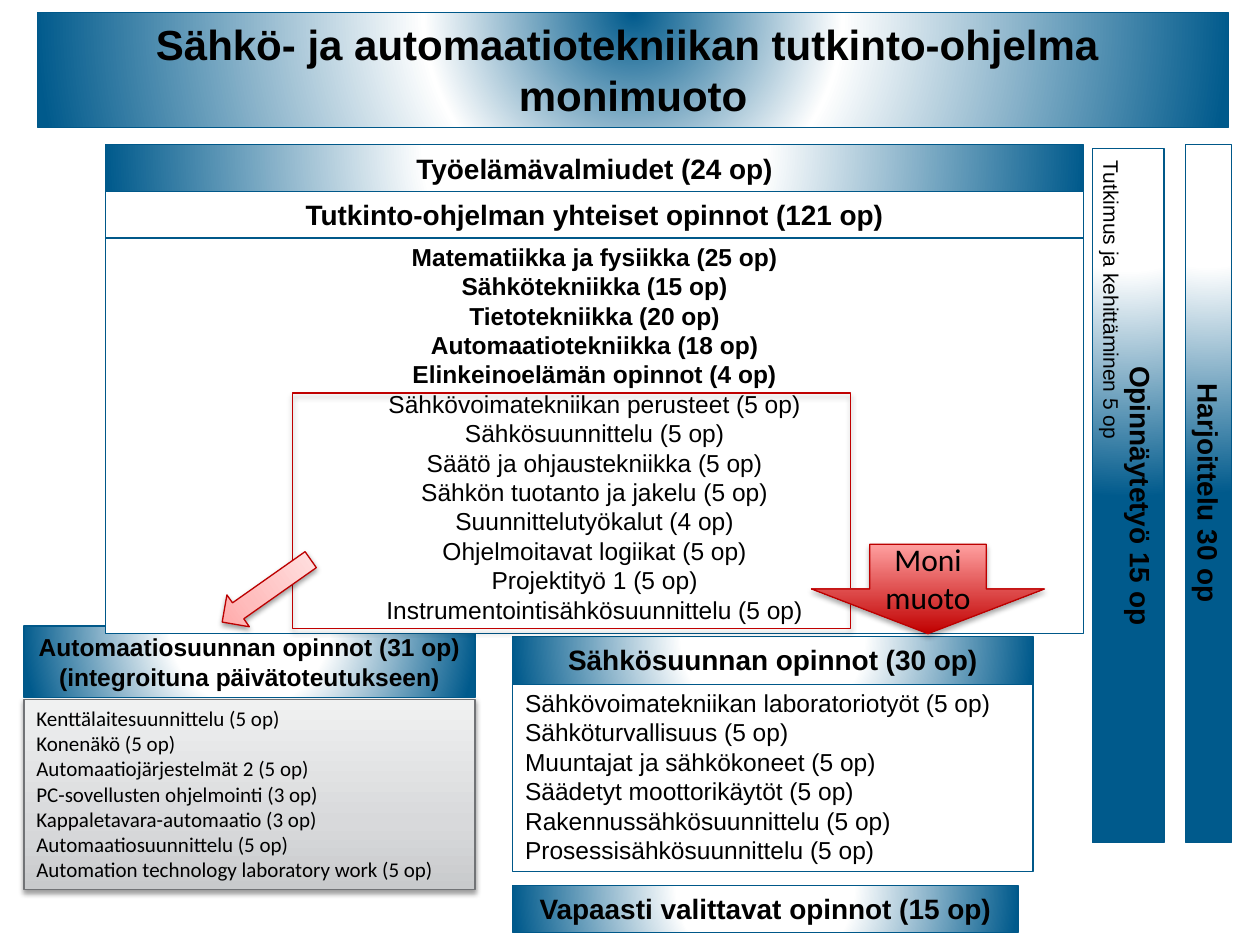
import pptx
import pptx.dml.color
import pptx.enum.shapes
import pptx.enum.text
import pptx.oxml
import pptx.oxml.ns
import pptx.util

Pt = pptx.util.Pt
SHAPE = pptx.enum.shapes.MSO_SHAPE
ALIGN = pptx.enum.text.PP_ALIGN
ANCHOR = pptx.enum.text.MSO_ANCHOR
qn = pptx.oxml.ns.qn
NS = 'xmlns:a="http://schemas.openxmlformats.org/drawingml/2006/main"'

BLACK, WHITE, BLUE, EDGE = "000000", "FFFFFF", "005A8C", "005889"
RED, ARROW_EDGE = "C00000", "BC0000"
GLOW = '<a:path {} path="circle"><a:fillToRect l="50000" t="-80000" r="50000" b="180000"/></a:path>'.format(NS)
UPWARD = '<a:lin {} ang="16200000" scaled="1"/>'.format(NS)
HEADER_STOPS = [(0, WHITE), (35, WHITE), (100, BLUE)]
TITLE_STOPS = [(0, BLUE), (35, WHITE), (100, BLUE)]

COMMON_BOLD = [
    "Matematiikka ja fysiikka (25 op)", "Sähkötekniikka (15 op)",
    "Tietotekniikka (20 op)", "Automaatiotekniikka (18 op)",
    "Elinkeinoelämän opinnot (4 op)",
]
COMMON_PLAIN = [
    "Sähkövoimatekniikan perusteet (5 op)", "Sähkösuunnittelu (5 op)",
    "Säätö ja ohjaustekniikka (5 op)", "Sähkön tuotanto ja jakelu (5 op)",
    "Suunnittelutyökalut (4 op)", "Ohjelmoitavat logiikat (5 op)",
    "Projektityö 1 (5 op)", "Instrumentointisähkösuunnittelu (5 op)",
]
AUTOMATION = [
    "Kenttälaitesuunnittelu (5 op)", "Konenäkö (5 op)",
    "Automaatiojärjestelmät 2 (5 op)", "PC-sovellusten ohjelmointi (3 op)",
    "Kappaletavara-automaatio (3 op)", "Automaatiosuunnittelu (5 op)",
    "Automation technology laboratory work (5 op)",
]
ELECTRICAL = [
    "Sähkövoimatekniikan laboratoriotyöt (5 op)", "Sähköturvallisuus (5 op)",
    "Muuntajat ja sähkökoneet (5 op)", "Säädetyt moottorikäytöt (5 op)",
    "Rakennussähkösuunnittelu (5 op) Prosessisähkösuunnittelu (5 op)",
]


def color(hex_code):
    return pptx.dml.color.RGBColor.from_string(hex_code)


def set_gradient(shape, stops, direction):
    shape.fill.gradient()
    gradient = shape.element.spPr.find(qn("a:gradFill"))
    for child in list(gradient):
        gradient.remove(child)
    marks = "".join(
        f'<a:gs pos="{pos * 1000}"><a:srgbClr val="{code}"/></a:gs>' for pos, code in stops)
    gradient.append(pptx.oxml.parse_xml(f"<a:gsLst {NS}>{marks}</a:gsLst>"))
    gradient.append(pptx.oxml.parse_xml(direction))


def set_shadow(shape, distance, opacity):
    effects = shape.element.spPr.find(qn("a:effectLst"))
    effects.append(pptx.oxml.parse_xml(
        f'<a:outerShdw {NS} blurRad="{Pt(3.1)}" dist="{Pt(distance)}" dir="5400000" rotWithShape="0">'
        f'<a:srgbClr val="{BLACK}"><a:alpha val="{opacity * 1000}"/></a:srgbClr></a:outerShdw>'))


def add_panel(slide, box, line, fill=None, stops=None, direction=GLOW, kind=SHAPE.RECTANGLE):
    panel = slide.shapes.add_shape(kind, *map(Pt, box))
    if stops:
        set_gradient(panel, stops, direction)
    elif fill:
        panel.fill.solid()
        panel.fill.fore_color.rgb = color(fill)
    else:
        panel.fill.background()
    panel.line.color.rgb = color(line)
    panel.line.width = Pt(0.75)
    panel.shadow.inherit = False
    panel.text_frame.word_wrap = True
    panel.text_frame.vertical_anchor = ANCHOR.TOP
    return panel


def write(panel, lines, size, bold=False, align=ALIGN.CENTER, font="Arial"):
    """Add paragraphs after any that the panel already holds."""
    frame = panel.text_frame
    for text in lines:
        paragraph = frame.add_paragraph() if frame.text else frame.paragraphs[0]
        paragraph.alignment = align
        run = paragraph.add_run()
        run.text = text
        run.font.size = Pt(size)
        run.font.bold = bold
        run.font.name = font
        run.font.color.rgb = color(BLACK)


def add_header(slide, box, lines, size=16, stops=HEADER_STOPS):
    header = add_panel(slide, box, EDGE, stops=stops)
    write(header, lines, size, bold=True)


def add_electrical(slide, box):
    left, top, width, height = box
    courses = add_panel(slide, (left, top + 25.9, width, height - 25.9), EDGE, fill=WHITE)
    write(courses, ELECTRICAL, 14, align=ALIGN.LEFT)
    add_header(slide, (left, top, width, 27.4), ["Sähkösuunnan opinnot (30 op)"])


def add_automation(slide, box):
    left, top, width, height = box
    courses = add_panel(slide, (left, top + 41.8, width, height - 41.8), "717376",
                        stops=[(0, "C8CACC"), (35, "D8D9DB"), (100, "F0F1F1")], direction=UPWARD)
    set_shadow(courses, 1.6, 38)
    write(courses, AUTOMATION, 12, align=ALIGN.LEFT, font="Calibri")
    add_header(slide, (left, top, width, 41),
               ["Automaatiosuunnan opinnot (31 op) (integroituna päivätoteutukseen)"], 14)


def add_common(slide, box):
    left, top, width, height = box
    courses = add_panel(slide, (left, top + 25.2, width, height - 25.2), EDGE, fill=WHITE)
    write(courses, COMMON_BOLD, 14, bold=True)
    write(courses, COMMON_PLAIN, 14)
    heading = add_panel(slide, (left, top, width, 26.6), EDGE, fill=WHITE)
    write(heading, ["Tutkinto-ohjelman yhteiset opinnot (121 op)"], 16, bold=True)


def add_column(slide, box, heading, note=None):
    """Fill an upright box with a bar turned a quarter clockwise."""
    left, top, width, height = box
    shift = (height - width) / 2
    column = add_panel(slide, (left - shift, top + shift, height, width), EDGE, stops=HEADER_STOPS)
    column.rotation = 90
    write(column, [heading], 16, bold=True)
    if note:
        write(column, [note], 12, align=ALIGN.LEFT)


def add_choice_marks(slide, frame_box, down_box, slanted_box):
    # Frame around the shared professional courses
    set_shadow(add_panel(slide, frame_box, RED), 1.8, 35)
    # Arrow to the electrical track
    down = add_panel(slide, down_box, ARROW_EDGE, stops=[(0, RED), (100, "FFA0A0")],
                     direction=UPWARD, kind=SHAPE.DOWN_ARROW)
    set_shadow(down, 1.8, 35)
    down.text_frame.vertical_anchor = ANCHOR.MIDDLE
    write(down, ["Monimuoto"], 18, font="Calibri")
    # Arrow to the automation track
    slanted = add_panel(slide, slanted_box, ARROW_EDGE,
                        stops=[(0, "FFA0A0"), (35, "FFBCBC"), (100, "FFE5E5")],
                        direction=UPWARD, kind=SHAPE.DOWN_ARROW)
    slanted.rotation = 54.8
    set_shadow(slanted, 1.6, 38)


def main():
    deck = pptx.Presentation()
    deck.slide_width, deck.slide_height = Pt(720), Pt(540)
    slide = deck.slides.add_slide(deck.slide_layouts[6])

    # Study blocks
    add_header(slide, (60.5, 82.8, 558.7, 26.6), ["Työelämävalmiudet (24 op)"])
    add_electrical(slide, (293, 363.6, 297.4, 134.6))
    add_automation(slide, (13.7, 357.8, 257.8, 150.5))
    add_common(slide, (60.5, 109.4, 558.7, 252.7))
    # Upright columns and free electives
    add_column(slide, (677.2, 82.4, 26.6, 398.9), "Harjoittelu 30 op")
    add_header(slide, (293, 506.2, 288.7, 26.6), ["Vapaasti valittavat opinnot (15 op)"])
    add_column(slide, (624.2, 84.9, 41, 396.7), "Opinnäytetyö 15 op",
               "Tutkimus ja kehittäminen 5 op")
    # Title
    add_header(slide, (21.6, 7.2, 680.4, 65.5),
               ["Sähkö- ja automaatiotekniikan tutkinto-ohjelma ", "monimuoto"], 24, TITLE_STOPS)
    add_choice_marks(slide, (167, 224.6, 319, 134.6), (463.7, 311, 133.2, 51.1),
                     (141.1, 306.7, 22.3, 61.9))
    deck.save("out.pptx")


if __name__ == "__main__":
    main()
